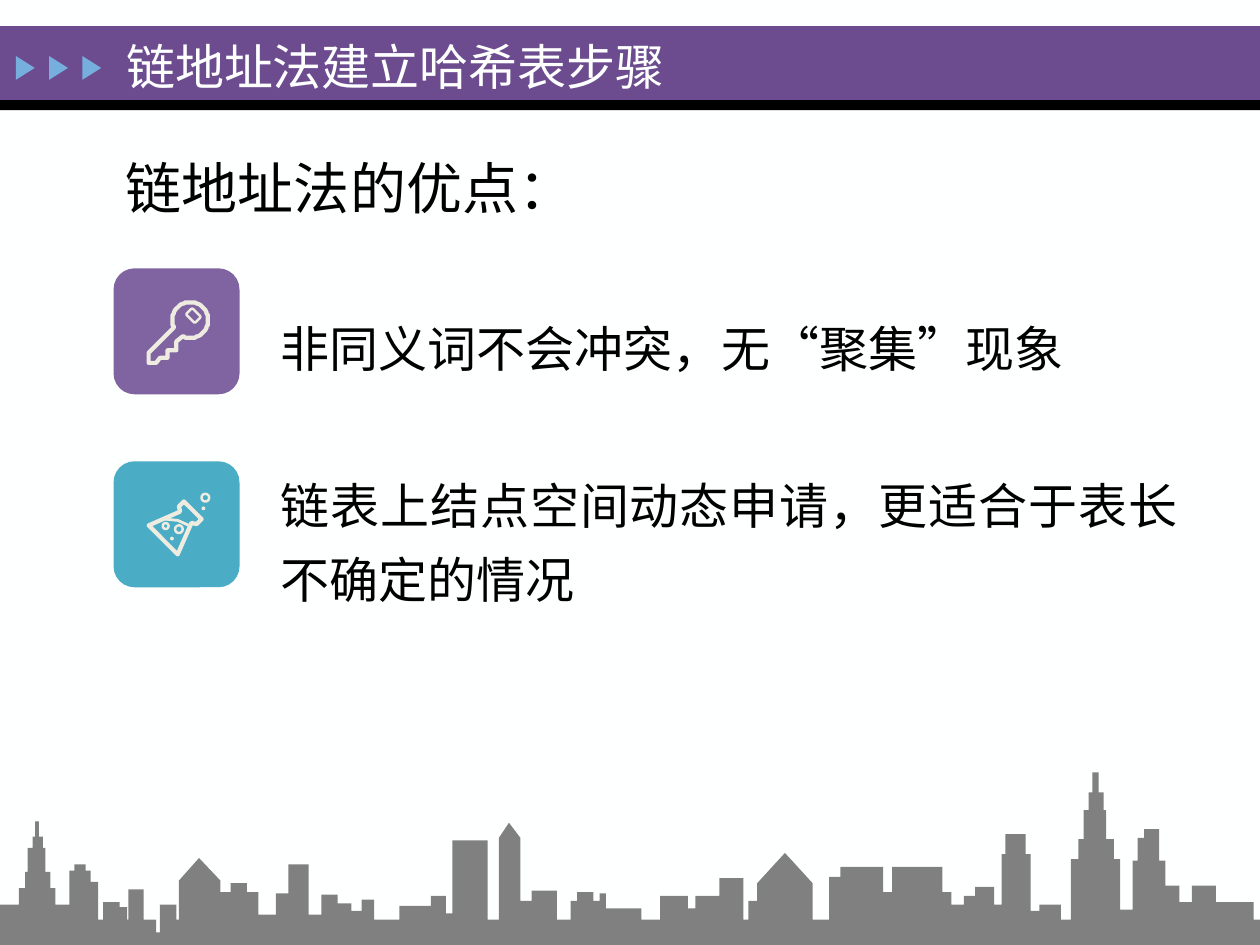
from itertools import pairwise
from math import cos, radians, sin, sqrt

from lxml.etree import SubElement
from pptx import Presentation
from pptx.dml.color import RGBColor
from pptx.enum.lang import MSO_LANGUAGE_ID as Lang
from pptx.enum.shapes import MSO_SHAPE as Shape
from pptx.enum.text import MSO_ANCHOR as Anchor, MSO_AUTO_SIZE as AutoSize, PP_ALIGN as Align
from pptx.oxml.ns import qn
from pptx.util import Cm, Pt

FONT = "Times New Roman"
WHITE, BLACK, CREAM, GREY = "FEFFFF", "000000", "EEECE1", "808080"
PURPLE, VIOLET, TEAL, SKY = "6C4C8F", "8064A2", "4BACC6", "76AEDD"
GRID = Cm(2.54) / 100
SLIDE_WIDTH, SLIDE_BOTTOM = 1000, 750

# left, right, height
GROUND = [(0, 1000, 10), (0, 124, 20), (127, 1000, 20)]
BLOCKS = [
    (0, 55, 32), (55, 78, 50), (55, 72, 59), (59, 68, 64), (82, 95, 34), (82, 101, 30),
    (102, 114, 44), (127, 140, 32), (175, 205, 42), (183, 196, 49), (205, 255, 24),
    (219, 245, 41), (229, 245, 64), (255, 287, 27), (255, 268, 40), (255, 279, 33),
    (287, 297, 36), (317, 354, 31), (342, 354, 39), (354, 387, 25), (359, 387, 83),
    (413, 442, 35), (422, 442, 43), (453, 509, 29), (453, 481, 35), (458, 471, 42),
    (476, 481, 41), (524, 552, 29), (524, 546, 39), (552, 590, 39), (571, 590, 53),
    (594, 601, 35), (658, 701, 54), (667, 701, 62), (701, 755, 42), (708, 748, 62),
    (755, 795, 32), (765, 789, 39), (774, 789, 46), (795, 818, 72), (798, 814, 88),
    (818, 842, 27), (825, 842, 32), (889, 899, 28), (899, 936, 47), (899, 925, 67),
    (903, 920, 85), (908, 920, 92), (925, 995, 34), (946, 965, 47),
]
# axis: (half width, height) of every tier
SPIRES = {29.5: [(14.5, 45), (10, 58), (7, 77), (4, 86), (1.5, 98)],
          869.5: [(19.5, 68), (14, 84), (9, 107), (6, 121), (2.5, 137)]}
# axis: half width, eaves height, ridge height
HOUSES = {158.5: (16.5, 51, 69), 404.5: (8.5, 85, 97), 623: (22, 49, 73)}


def color(hex_code):
    """Turn a hex string into a colour."""
    return RGBColor.from_string(hex_code)


def paint(shape, fill):
    """Give a shape a flat fill without line or shadow."""
    shape.shadow.inherit = False
    shape.fill.solid()
    shape.fill.fore_color.rgb = color(fill)
    shape.line.fill.background()
    return shape


def stroke(shape, width):
    """Draw a shape as a cream line without fill or shadow."""
    shape.shadow.inherit = False
    shape.fill.background()
    shape.line.color.rgb = color(CREAM)
    shape.line.width = Pt(width)
    return shape


def add_outline(shapes, points, close=True):
    """Add a freeform through points in hundredths of an inch."""
    builder = shapes.build_freeform(*points[0], scale=GRID)
    builder.add_line_segments(points[1:], close=close)
    return builder.convert_to_shape()


def add_centred(shapes, preset, centre, width, height):
    """Add a preset shape around a centre in hundredths of an inch."""
    x, y = centre
    box = (x - width / 2, y - height / 2, width, height)
    return shapes.add_shape(preset, *(Cm(value * 0.0254) for value in box))


def add_tile(slide, top, fill):
    """Add a rounded icon tile in a group and return the group's shapes."""
    icon = slide.shapes.add_group_shape().shapes
    paint(icon.add_shape(Shape.ROUNDED_RECTANGLE, Cm(2.29), top, Cm(2.54), Cm(2.54)), fill)
    return icon


def add_key(slide):
    """Add a key: a round head, a slanting shaft and a staircase of teeth."""
    icon = add_tile(slide, Cm(5.41), VIOLET)
    head_x, head_y, radius, tooth = 151, 254, 14.3, 6.3
    angles = [radians(degree) for degree in range(-243, 156, 6)]
    head = [(head_x + radius * cos(a), head_y + radius * sin(a)) for a in reversed(angles)]
    tip = [(117.5, 280.5), (117.5, 287.5), (124.5, 287.5)]
    teeth = []
    for step in range(2):
        x, y = 127 + tooth * step, 284 - tooth * step
        teeth += [(x, y), (x + tooth, y)]
    teeth.append((127 + 2 * tooth, 284 - 2 * tooth))
    bow, *_ = head[-1:]
    shaft_start = (head_x + radius * cos(radians(155)), head_y + radius * sin(radians(155)))
    arc = [(head_x + radius * cos(radians(d)), head_y + radius * sin(radians(d)))
           for d in range(117, -206, -6)]
    stroke(add_outline(icon, [shaft_start] + tip + teeth + arc), 2.4)
    hole = stroke(add_centred(icon, Shape.ROUNDED_RECTANGLE, (153.5, 250.5), 10, 7), 1.4)
    hole.rotation = 45


def add_flask(slide):
    """Add a flask: a mirrored profile turned by 45 degrees, liquid and bubbles."""
    icon = add_tile(slide, Cm(9.3), TEAL)
    profile = [(16.5, -16), (6.5, 9), (10, 11), (10, 17)]
    mirrored = [(-across, along) for across, along in reversed(profile)]
    glass = [(141 + (across + along) / sqrt(2), 417 + (across - along) / sqrt(2))
             for across, along in profile + mirrored]
    stroke(add_outline(icon, glass), 2.4)
    stroke(add_outline(icon, [(131, 412.5), (141, 413), (150, 417)], close=False), 1.6)
    for centre, size in (((142, 420), 6.2), ((163, 395), 6.2), ((131.5, 417.5), 4.7)):
        stroke(add_centred(icon, Shape.OVAL, centre, size, size), 1.4)
    for centre in ((136.5, 427.5), (161.5, 403.5)):
        paint(add_centred(icon, Shape.OVAL, centre, 3, 3), CREAM)


def add_skyline(slide):
    """Add one silhouette that follows the tallest building at every place."""
    tiers = [(axis, half, height) for axis, spire in SPIRES.items() for half, height in spire]
    tiers += [(axis, half, eaves) for axis, (half, eaves, _) in HOUSES.items()]
    buildings = GROUND + BLOCKS + [(axis - half, axis + half, height)
                                   for axis, half, height in tiers]
    edges = sorted({edge for left, right, _ in buildings for edge in (left, right)})
    outline = [(0, SLIDE_BOTTOM)]
    for start, end in pairwise(edges):
        roof = SLIDE_BOTTOM - max(height for left, right, height in buildings
                                  if left <= start and end <= right)
        ridges = [(axis, SLIDE_BOTTOM - ridge) for axis, (_, _, ridge) in HOUSES.items()
                  if start < axis < end]
        outline += [(start, roof), *ridges, (end, roof)]
    outline.append((SLIDE_WIDTH, SLIDE_BOTTOM))
    paint(add_outline(slide.shapes, outline), GREY)


def add_banner(slide):
    """Add the title bar, its black edge and the three arrowheads."""
    for top, height, fill in ((0.53, 1.5, PURPLE), (2.02, 0.2, BLACK)):
        bar = slide.shapes.add_shape(Shape.RECTANGLE, 0, Cm(top), Cm(25.4), Cm(height))
        paint(bar, fill)
    for index in range(3):
        arrowhead = slide.shapes.add_shape(
            Shape.ISOSCELES_TRIANGLE, Cm(0.27 + 0.67 * index), Cm(1.18), Cm(0.48), Cm(0.38))
        paint(arrowhead, SKY).rotation = 90


def place(holder, left, top, width, height):
    """Move and size a text holder."""
    holder.left, holder.top, holder.width, holder.height = left, top, width, height
    holder.text_frame.auto_size = AutoSize.NONE


def format_paragraph(paragraph, size, fill, align=Align.LEFT):
    """Set the font and alignment of a paragraph."""
    paragraph.alignment = align
    font = paragraph.font
    font.name, font.size, font.color.rgb = FONT, Pt(size), color(fill)
    font.language_id = Lang.SIMPLIFIED_CHINESE


def fill_title(title):
    """Write the title and bring it in front of the banner."""
    place(title, Cm(2.29), Cm(0.61), Cm(15.6), Cm(1.42))
    title.text_frame.text = "链地址法建立哈希表步骤"
    title.text_frame.vertical_anchor = Anchor.MIDDLE
    format_paragraph(title.text_frame.paragraphs[0], 28, WHITE)
    title._element.getparent().append(title._element)


def add_heading(slide):
    """Add the heading above the list."""
    heading = slide.shapes.add_textbox(Cm(2.29), Cm(2.97), Cm(9.58), Cm(1.6))
    heading.text_frame.text = "链地址法的优点："
    heading.text_frame.word_wrap = False
    format_paragraph(heading.text_frame.paragraphs[0], 32, BLACK)


def fill_advantages(body):
    """Write the advantages as a list without bullets."""
    place(body, Cm(5.41), Cm(5.99), Cm(18.59), Cm(6.55))
    body.text_frame.text = "非同义词不会冲突，无“聚集”现象\n链表上结点空间动态申请，更适合于表长不确定的情况"
    for paragraph, gap in zip(body.text_frame.paragraphs, (2, 48)):
        format_paragraph(paragraph, 28, BLACK, Align.JUSTIFY)
        paragraph.line_spacing = 1.25
        paragraph.space_before = Pt(gap)
        properties = paragraph._p.get_or_add_pPr()
        properties.set("marL", "0")
        properties.set("indent", "0")
        bullet = SubElement(properties, qn("a:buNone"))
        properties.find(qn("a:defRPr")).addprevious(bullet)


def main():
    """Build the slide and save it."""
    deck = Presentation()
    deck.slide_width, deck.slide_height = Cm(25.4), Cm(19.05)
    slide = deck.slides.add_slide(deck.slide_layouts[1])
    slide.background.fill.solid()
    slide.background.fill.fore_color.rgb = color(WHITE)
    add_banner(slide)
    add_heading(slide)
    fill_advantages(slide.placeholders[1])
    fill_title(slide.shapes.title)
    add_flask(slide)
    add_key(slide)
    add_skyline(slide)
    deck.save("out.pptx")


if __name__ == "__main__":
    main()
